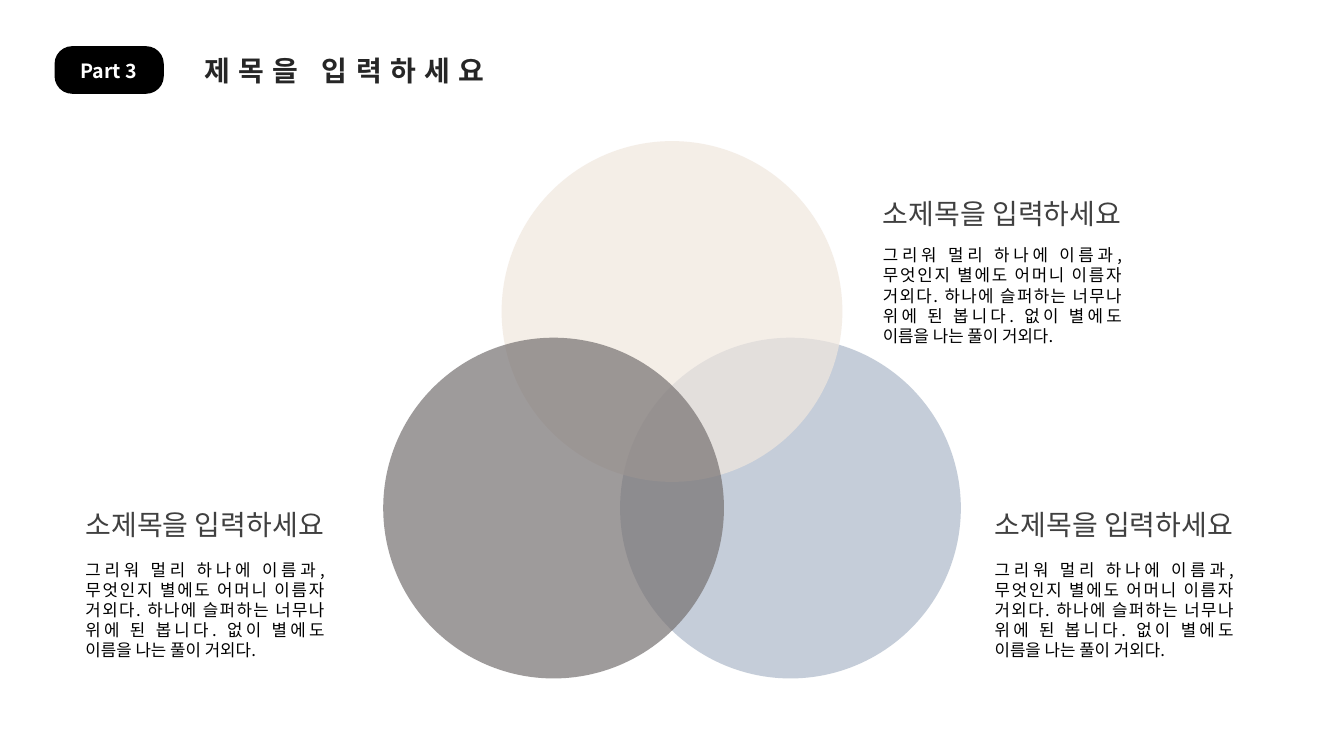
from lxml.etree import SubElement
from pptx import Presentation
from pptx.dml.color import RGBColor
from pptx.enum.shapes import MSO_SHAPE as Shape
from pptx.enum.text import MSO_AUTO_SIZE as AutoSize, PP_ALIGN as Align
from pptx.oxml.ns import qn
from pptx.util import Pt

BLACK = RGBColor(0x00, 0x00, 0x00)
WHITE = RGBColor(0xFF, 0xFF, 0xFF)
TITLE_GRAY = RGBColor(0x26, 0x26, 0x26)
HEADING_GRAY = RGBColor(0x40, 0x40, 0x40)
BLUE = RGBColor(0xAD, 0xB9, 0xCA)
CREAM = RGBColor(0xF0, 0xE7, 0xDE)
GRAY = RGBColor(0x76, 0x71, 0x71)

HEADING = "소제목을 입력하세요"
BODY = (
    "그리워 멀리 하나에 이름과, 무엇인지 별에도 어머니 이름자 거외다. "
    "하나에 슬퍼하는 너무나 위에 된 봅니다. 없이 별에도 이름을 나는 풀이 거외다."
)

VENN_CENTER = 480
VENN_SPREAD = 84.6
DIAMETER = 243.4
UPPER_TOP, LOWER_TOP = 100.8, 241.2


class SlideBuilder:
    font_name = "Noto Sans CJK KR"

    def __init__(self, slide):
        self.slide = slide

    def shape(self, kind, left, top, width, height, color, opacity=100):
        shape = self.slide.shapes.add_shape(
            kind, Pt(left), Pt(top), Pt(width), Pt(height)
        )
        shape.shadow.inherit = False
        shape.fill.solid()
        shape.fill.fore_color.rgb = color
        shape.line.fill.background()
        if opacity < 100:
            fill_color = next(shape.element.iter(qn("a:srgbClr")))
            SubElement(fill_color, qn("a:alpha"), val=str(opacity * 1000))
        return shape

    def circle(self, center, top, color):
        left = center - DIAMETER / 2
        return self.shape(Shape.OVAL, left, top, DIAMETER, DIAMETER, color, 70)

    def text(self, text, left, top, width, height, size, color,
             bold=False, align=Align.LEFT, wrap=True, spacing=0):
        box = self.slide.shapes.add_textbox(
            Pt(left), Pt(top), Pt(width), Pt(height)
        )
        frame = box.text_frame
        frame.word_wrap = wrap
        frame.auto_size = AutoSize.SHAPE_TO_FIT_TEXT
        paragraph = frame.paragraphs[0]
        paragraph.text = text
        paragraph.alignment = align
        font = paragraph.font
        font.name = self.font_name
        font.size = Pt(size)
        font.bold = bold
        font.color.rgb = color
        properties = next(box.element.iter(qn("a:defRPr")))
        SubElement(properties, qn("a:ea"), typeface=self.font_name)
        if spacing:
            properties.set("spc", str(spacing * 100))
        return box

    def description(self, left, heading_top, body_top):
        self.text(HEADING, left, heading_top, 203, 31.5, 20, HEADING_GRAY)
        self.text(BODY, left, body_top, 185, 80, 12, BLACK, align=Align.JUSTIFY)


def main():
    presentation = Presentation()
    presentation.slide_width = Pt(960)
    presentation.slide_height = Pt(540)
    slide = presentation.slides.add_slide(presentation.slide_layouts[6])
    builder = SlideBuilder(slide)

    badge = builder.shape(Shape.ROUNDED_RECTANGLE, 39, 33, 78, 34, BLACK)
    badge.adjustments[0] = 0.37
    builder.text("Part 3", 49.7, 38.2, 56.2, 24.2, 14, WHITE,
                 bold=True, align=Align.CENTER, wrap=False)
    builder.text("제목을 입력하세요", 139, 34.6, 234.7, 31.5, 20, TITLE_GRAY,
                 bold=True, wrap=False, spacing=6)

    builder.circle(VENN_CENTER + VENN_SPREAD, LOWER_TOP, BLUE)
    builder.circle(VENN_CENTER, UPPER_TOP, CREAM)
    builder.circle(VENN_CENTER - VENN_SPREAD, LOWER_TOP, GRAY)

    for left, heading_top, body_top in (
        (623.5, 136.8, 171.4),
        (703.4, 359.3, 396),
        (54, 359.3, 396),
    ):
        builder.description(left, heading_top, body_top)

    presentation.save("out.pptx")


if __name__ == "__main__":
    main()
